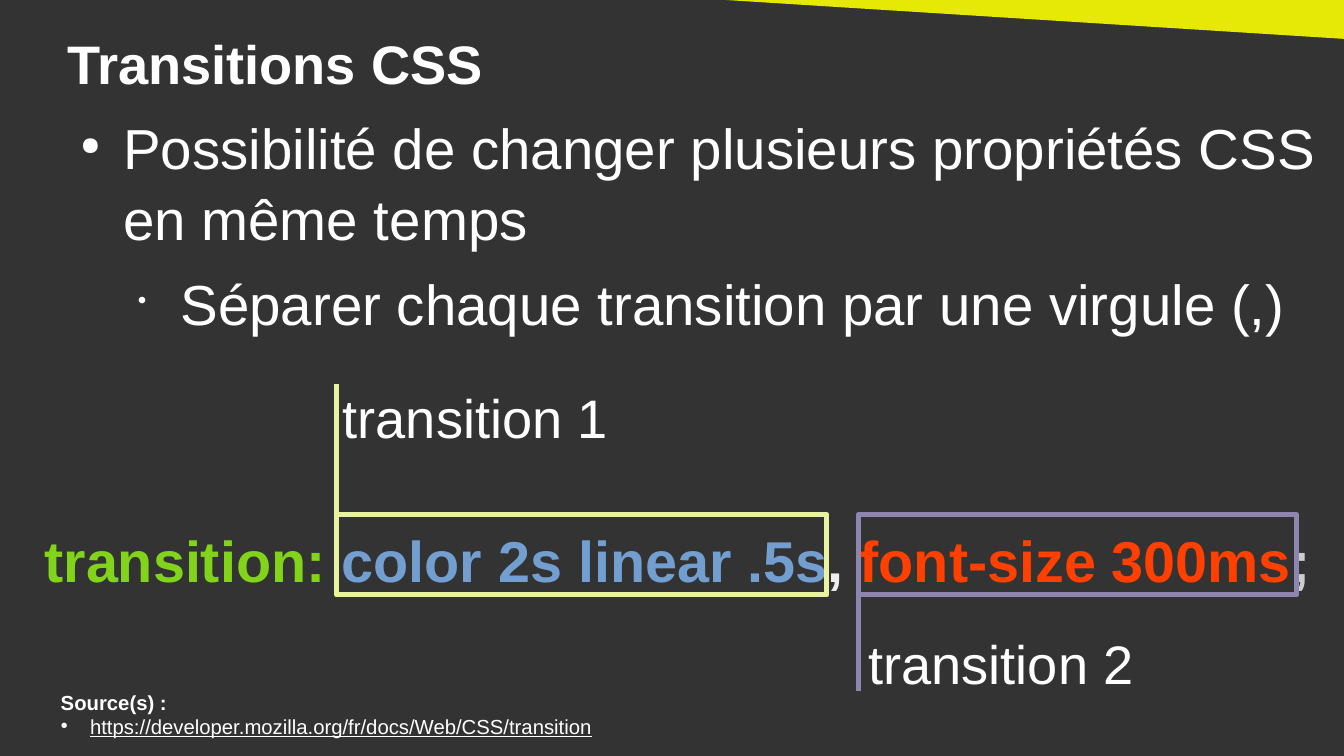
"""Build the slide about changing several CSS properties in one transition."""
from dataclasses import dataclass

from lxml import etree
from pptx import Presentation
from pptx.dml.color import RGBColor
from pptx.enum import shapes, text
from pptx.oxml import ns
from pptx.util import Inches, Pt


@dataclass(frozen=True)
class Theme:
    """Colours, font and type sizes of the slide."""
    font: str = "Arial"
    background: str = "333333"
    corner: str = "E6E905"
    white: str = "FFFFFF"
    keyword: str = "81D41A"
    first_value: str = "729FCF"
    comma: str = "EEEEEE"
    second_value: str = "FF4000"
    semicolon: str = "CCCCCC"
    first_frame: str = "E8F2A1"
    second_frame: str = "8E86AE"
    heading: float = 32
    body: float = 33.3
    code: float = 34
    source: float = 12
    frame_width: float = 3


THEME = Theme()


@dataclass(frozen=True)
class Span:
    """A stretch of text in one colour."""
    words: str
    color: str = THEME.white
    bold: bool = False
    underline: bool = False


@dataclass(frozen=True)
class Para:
    """A paragraph with its spans, bullet and spacing."""
    spans: tuple[Span, ...]
    bullet: str = ""
    level: int = 0
    margin: float = 0
    indent: float = 0
    before: float = 0
    line_spacing: float = 1
    centered: bool = False


@dataclass(frozen=True)
class Frame:
    """An outline around one transition, with its label and leader line."""
    left: float
    width: float
    color: str
    label: str
    label_left: float
    label_top: float
    leader: tuple[float, float]
    joined: bool = False


FRAME_TOP, FRAME_HEIGHT = 4.22, 0.66
FRAMES = (
    Frame(2.76, 4.02, THEME.first_frame, "transition 1", 2.81, 3.15, (3.15, 4.25)),
    Frame(7.04, 3.59, THEME.second_frame, "transition 2", 7.12, 5.17, (4.55, 5.67), True),
)


def rgb(color: str) -> RGBColor:
    """Turn a hex string into a colour."""
    return RGBColor.from_string(color)


def add_bullet(para, item: Para) -> None:
    """Give a paragraph its indents and a small white bullet."""
    props = para._p.get_or_add_pPr()
    props.set("marL", str(Inches(item.margin)))
    props.set("indent", str(Inches(item.indent)))
    color = etree.SubElement(props, ns.qn("a:buClr"))
    etree.SubElement(color, ns.qn("a:srgbClr"), val=THEME.white)
    etree.SubElement(props, ns.qn("a:buSzPct"), val="45000")
    etree.SubElement(props, ns.qn("a:buChar"), char=item.bullet)


def add_text(page, paras: tuple[Para, ...], *, left: float, top: float, width: float,
             height: float, size: float, inset: tuple[float, float] = (0, 0)):
    """Add a wrapped text box holding the given paragraphs."""
    box = page.shapes.add_textbox(Inches(left), Inches(top), Inches(width), Inches(height))
    frame = box.text_frame
    frame.word_wrap = True
    frame.margin_left = frame.margin_right = Inches(inset[0])
    frame.margin_top = frame.margin_bottom = Inches(inset[1])
    for index, item in enumerate(paras):
        para = frame.add_paragraph() if index else frame.paragraphs[0]
        if item.bullet:
            add_bullet(para, item)
        para.level = item.level
        para.line_spacing = item.line_spacing
        para.space_before = Pt(item.before)
        para.alignment = text.PP_ALIGN.CENTER if item.centered else text.PP_ALIGN.LEFT
        for span in item.spans:
            run = para.add_run()
            run.text = span.words
            font = run.font
            font.name, font.size = THEME.font, Pt(size)
            font.bold, font.underline = span.bold, span.underline
            font.color.rgb = rgb(span.color)
    return box


def add_corner(page) -> None:
    """Add the yellow wedge along the top right edge."""
    wedge = page.shapes.add_shape(shapes.MSO_SHAPE.RIGHT_TRIANGLE, Inches(5.32),
                                  Inches(-0.04), Inches(5.72), Inches(0.36))
    wedge.rotation = 180
    wedge.shadow.inherit = False
    wedge.fill.solid()
    wedge.fill.fore_color.rgb = rgb(THEME.corner)
    wedge.line.fill.background()


def add_frame(page, frame: Frame) -> None:
    """Outline one transition and draw its leader line and label."""
    box = page.shapes.add_shape(shapes.MSO_SHAPE.RECTANGLE, Inches(frame.left),
                                Inches(FRAME_TOP), Inches(frame.width), Inches(FRAME_HEIGHT))
    box.shadow.inherit = False
    box.fill.background()
    start, end = frame.leader
    leader = page.shapes.add_connector(shapes.MSO_CONNECTOR.STRAIGHT, Inches(frame.left),
                                       Inches(start), Inches(frame.left), Inches(end))
    etree.SubElement(leader._element.spPr, ns.qn("a:effectLst"))
    if frame.joined:
        leader.begin_connect(box, 1)
    for outlined in (box, leader):
        outlined.line.color.rgb = rgb(frame.color)
        outlined.line.width = Pt(THEME.frame_width)
    add_text(page, (Para((Span(frame.label),)),), left=frame.label_left,
             top=frame.label_top, width=2.78, height=0.5, size=THEME.heading)


def main() -> None:
    """Build and save the deck."""
    deck = Presentation()
    deck.slide_width, deck.slide_height = Inches(11.02), Inches(6.2)
    page = deck.slides.add_slide(deck.slide_layouts[6])
    page.background.fill.solid()
    page.background.fill.fore_color.rgb = rgb(THEME.background)

    add_text(page, (Para((Span("Transitions CSS", bold=True),)),),
             left=0.55, top=0.25, width=9.92, height=0.51, size=THEME.heading)
    add_text(page, (
        Para((Span("Possibilité de changer plusieurs propriétés CSS en même temps"),),
             bullet="●", margin=0.47, indent=-0.35, line_spacing=1.05),
        Para((Span("Séparer chaque transition par une virgule (,)"),), bullet="•",
             level=1, margin=0.94, indent=-0.35, before=8.4, line_spacing=1.05),
    ), left=0.54, top=0.9, width=10.26, height=1.85, size=THEME.body)
    add_corner(page)
    add_text(page, (
        Para((Span("Source(s)\u00a0:".replace("\u00a0", " "), bold=True),)),
        Para((Span("https://developer.mozilla.org/fr/docs/Web/CSS/transition", underline=True),),
             bullet="●", margin=0.24, indent=-0.24),
    ), left=0.4, top=5.61, width=9.9, height=0.59, size=THEME.source, inset=(0.1, 0.05))
    add_text(page, (Para((
        Span("transition: ", THEME.keyword, bold=True),
        Span("color 2s linear .5s", THEME.first_value, bold=True),
        Span(", ", THEME.comma, bold=True),
        Span("font-size 300ms", THEME.second_value, bold=True),
        Span(";", THEME.semicolon, bold=True),
    ), centered=True),), left=0.16, top=4.26, width=10.79, height=0.7,
        size=THEME.code, inset=(0.1, 0.05))
    for frame in FRAMES:
        add_frame(page, frame)
    deck.save("out.pptx")


if __name__ == "__main__":
    main()
